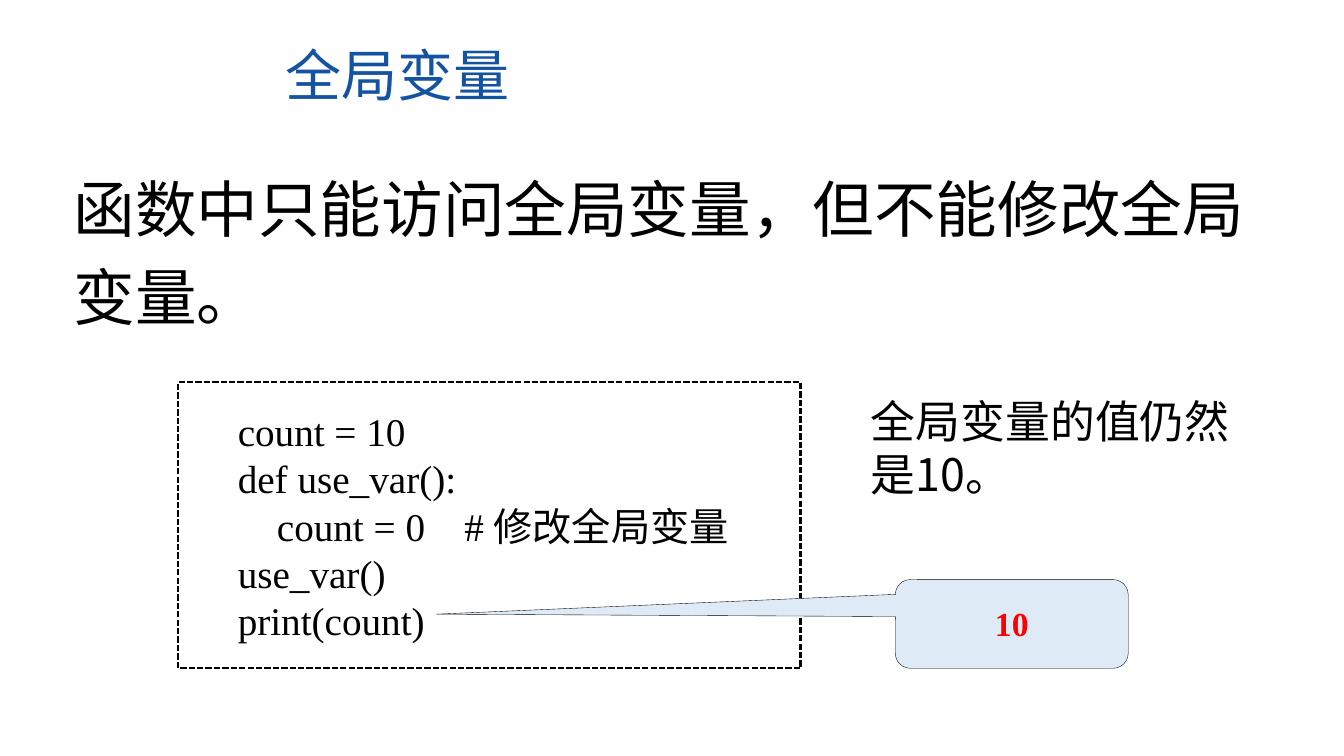
from pptx import Presentation
from pptx.dml.color import RGBColor
from pptx.enum.dml import MSO_LINE
from pptx.enum.shapes import MSO_SHAPE
from pptx.enum.text import MSO_ANCHOR, PP_ALIGN
from pptx.util import Inches, Pt
from lxml import etree

BLUE = RGBColor(0x13, 0x53, 0xA2)
PALE = RGBColor(0xDE, 0xEB, 0xF7)
BLACK = RGBColor(0, 0, 0)
RED = RGBColor(0xFF, 0, 0)
SANS = "Noto Sans CJK SC"
SERIF = "Times New Roman"
NS = "{http://schemas.openxmlformats.org/drawingml/2006/main}"
RECT = MSO_SHAPE.RECTANGLE
BUBBLE = MSO_SHAPE.ROUNDED_RECTANGULAR_CALLOUT
DASH = MSO_LINE.SQUARE_DOT
TOP, MIDDLE = MSO_ANCHOR.TOP, MSO_ANCHOR.MIDDLE
LEFT, CENTER = PP_ALIGN.LEFT, PP_ALIGN.CENTER

CODE = [
    "count = 10",
    "def use_var():",
    "    count = 0    # 修改全局变量",
    "use_var()",
    "print(count)",
]


def write(shape, lines, size, color, pitch, font=SANS, bold=False,
          align=LEFT, anchor=TOP, inset=0.11):
    """Fill a shape with one paragraph per line, pitch points apart."""
    frame = shape.text_frame
    frame.word_wrap = True
    frame.vertical_anchor = anchor
    frame.margin_top = Inches(inset)
    frame.margin_bottom = Inches(0.05)
    frame.margin_left = frame.margin_right = Inches(0.1)
    for i, line in enumerate(lines):
        para = frame.add_paragraph() if i else frame.paragraphs[0]
        para.alignment = align
        para.line_spacing = Pt(pitch)
        para.space_before = Pt(0)
        run = para.add_run()
        run.text = line
        run.font.name = font
        run.font.size = Pt(size)
        run.font.bold = bold
        run.font.color.rgb = color
        east = etree.SubElement(run.font._element, NS + "ea")
        east.set("typeface", SANS)


def add_title(slide, box, text):
    title = slide.shapes.title
    title.left, title.top, title.width, title.height = map(Inches, box)
    write(title, [text], 40, BLUE, 48)


def add_text(slide, box, lines, size, pitch, **style):
    shape = slide.shapes.add_textbox(*map(Inches, box))
    write(shape, lines, size, BLACK, pitch, **style)


def add_box(slide, kind, box, weight, fill=None):
    shape = slide.shapes.add_shape(kind, *map(Inches, box))
    shape.shadow.inherit = False
    if fill is None:
        shape.fill.background()
    else:
        shape.fill.solid()
        shape.fill.fore_color.rgb = fill
    shape.line.color.rgb = BLACK
    shape.line.width = Pt(weight)
    return shape


def main():
    deck = Presentation()
    deck.slide_width, deck.slide_height = Inches(13.33), Inches(7.5)
    slide = deck.slides.add_slide(deck.slide_layouts[5])

    add_title(slide, (2.73, 0.29, 5.88, 0.77), "全局变量")
    add_text(slide, (0.63, 1.44, 12.29, 1.8),
             ["函数中只能访问全局变量，但不能修改全局变量。"], 44, 63)

    panel = add_box(slide, RECT, (1.77, 3.79, 6.17, 2.84), 1.5)
    panel.line.dash_style = DASH
    add_text(slide, (2.26, 3.99, 5.19, 2.46), CODE, 28, 33.8,
             font=SERIF, inset=0.05)

    bubble = add_box(slide, BUBBLE, (8.88, 5.75, 2.31, 0.88), 0.25, PALE)
    for i, value in enumerate((-2.47, -0.11, 0.17)):
        bubble.adjustments[i] = value
    write(bubble, ["10"], 24, RED, 28, font=SERIF, bold=True,
          align=CENTER, anchor=MIDDLE, inset=0.05)

    add_text(slide, (8.54, 3.8, 3.9, 1.18), ["全局变量的值仍然是10。"], 32, 38)
    deck.save("out.pptx")


if __name__ == "__main__":
    main()
